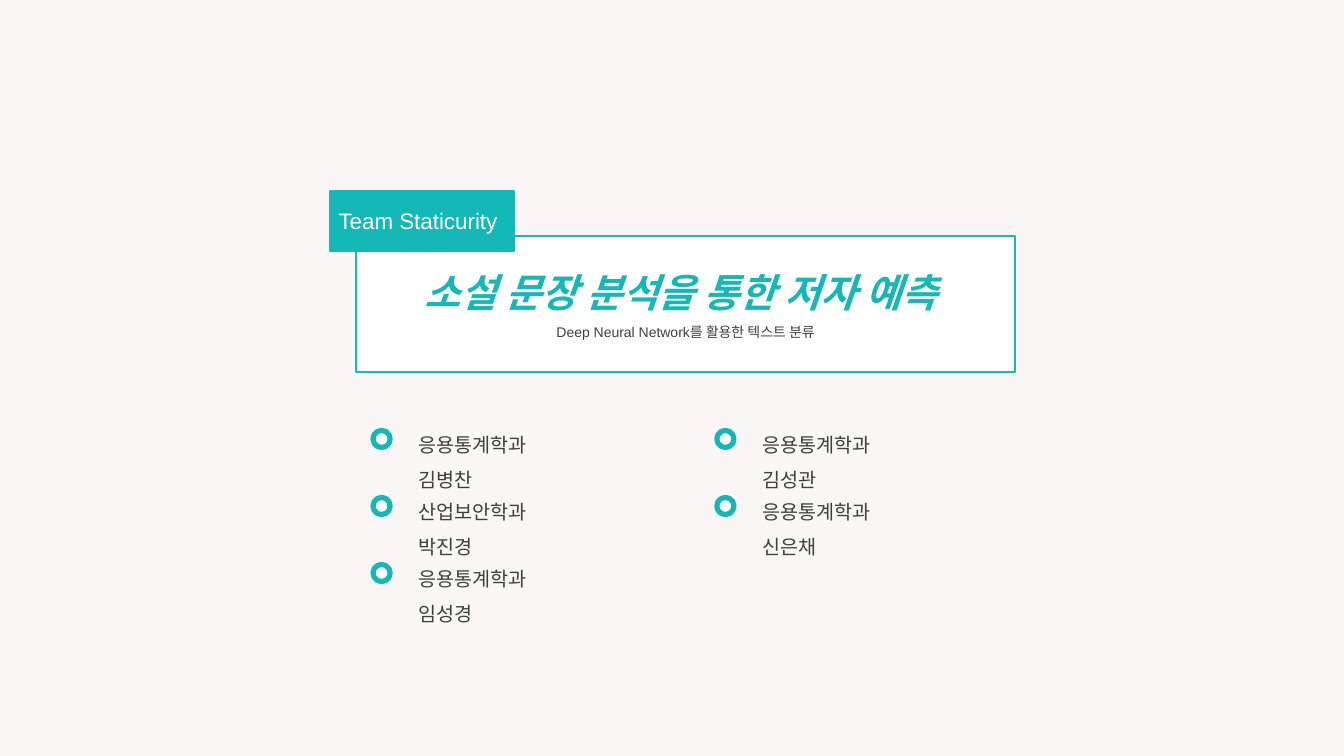
from lxml import etree
from pptx import Presentation
from pptx import util as u
from pptx.dml.color import RGBColor
from pptx.enum import shapes, text
from pptx.oxml import ns

COLORS = {"back": "F9F6F5", "teal": "14B9B7", "white": "FFFFFF", "ink": "3F3F3F"}
LATIN, HANGUL = "Arial", "Noto Sans CJK KR"
COLUMNS = [
    ["응용통계학과 김병찬", "산업보안학과 박진경", "응용통계학과 임성경"],
    ["응용통계학과 김성관", "응용통계학과 신은채"],
]
COLUMN_LEFT, COLUMN_STEP = 3.7, 3.41
ROW_TOP, ROW_STEP = 4.27, 0.665


class TitleSlide:
    def __init__(self, deck):
        self.page = deck.slides.add_slide(deck.slide_layouts[6])
        self.paint(self.page.background.fill, "back")

    def paint(self, fill, color):
        fill.solid()
        fill.fore_color.rgb = RGBColor.from_string(COLORS[color])

    def shape(self, kind, place, fill, line_width):
        shape = self.page.shapes.add_shape(kind, *map(u.Inches, place))
        shape.shadow.inherit = False
        self.paint(shape.fill, fill)
        self.paint(shape.line.fill, "teal")
        shape.line.width = u.Pt(line_width)
        return shape

    def style(self, para, size, color, font=LATIN, strong=False, spacing=None):
        para.line_spacing = spacing
        for span in para.runs:
            span.font.size = u.Pt(size)
            span.font.name = font
            span.font.bold = span.font.italic = strong
            self.paint(span.font.fill, color)
            properties = span.font._element if hasattr(span.font, "_element") else span._r.get_or_add_rPr()
            east_asian = etree.SubElement(properties, ns.qn("a:ea"))
            east_asian.set("typeface", HANGUL)

    def label(self, words, place, size, color, spacing=None):
        box = self.page.shapes.add_textbox(*map(u.Inches, place))
        frame = box.text_frame
        frame.word_wrap = True
        frame.auto_size = text.MSO_AUTO_SIZE.SHAPE_TO_FIT_TEXT
        frame.text = words
        self.style(frame.paragraphs[0], size, color, spacing=spacing)

    def banner(self, title, subtitle):
        panel = self.shape(shapes.MSO_SHAPE.RECTANGLE, (3.53, 2.34, 6.54, 1.35), "white", 1.5)
        frame = panel.text_frame
        frame.vertical_anchor = text.MSO_ANCHOR.MIDDLE
        frame.text = f"{title}\n{subtitle}"
        heading, caption = frame.paragraphs
        heading.alignment = caption.alignment = text.PP_ALIGN.CENTER
        self.style(heading, 28, "teal", HANGUL, strong=True)
        self.style(caption, 10, "ink", spacing=1.5)

    def member(self, words, left, top):
        self.shape(shapes.MSO_SHAPE.OVAL, (left, top, 0.17, 0.17), "white", 3.75)
        self.label(words, (left + 0.35, top - 0.14, 1.82, 0.42), 14, "ink", 1.5)


def main():
    deck = Presentation()
    deck.slide_width, deck.slide_height = u.Inches(13.33), u.Inches(7.5)
    slide = TitleSlide(deck)
    slide.banner("소설 문장 분석을 통한 저자 예측 ", "Deep Neural Network를 활용한 텍스트 분류")
    slide.shape(shapes.MSO_SHAPE.RECTANGLE, (3.27, 1.9, 1.83, 0.59), "teal", 1.5)
    for column, members in enumerate(COLUMNS):
        for row, words in enumerate(members):
            slide.member(words, COLUMN_LEFT + column * COLUMN_STEP, ROW_TOP + row * ROW_STEP)
    slide.label("Team Staticurity", (3.26, 2.01, 1.94, 0.37), 16, "white")
    deck.save("out.pptx")


if __name__ == "__main__":
    main()
